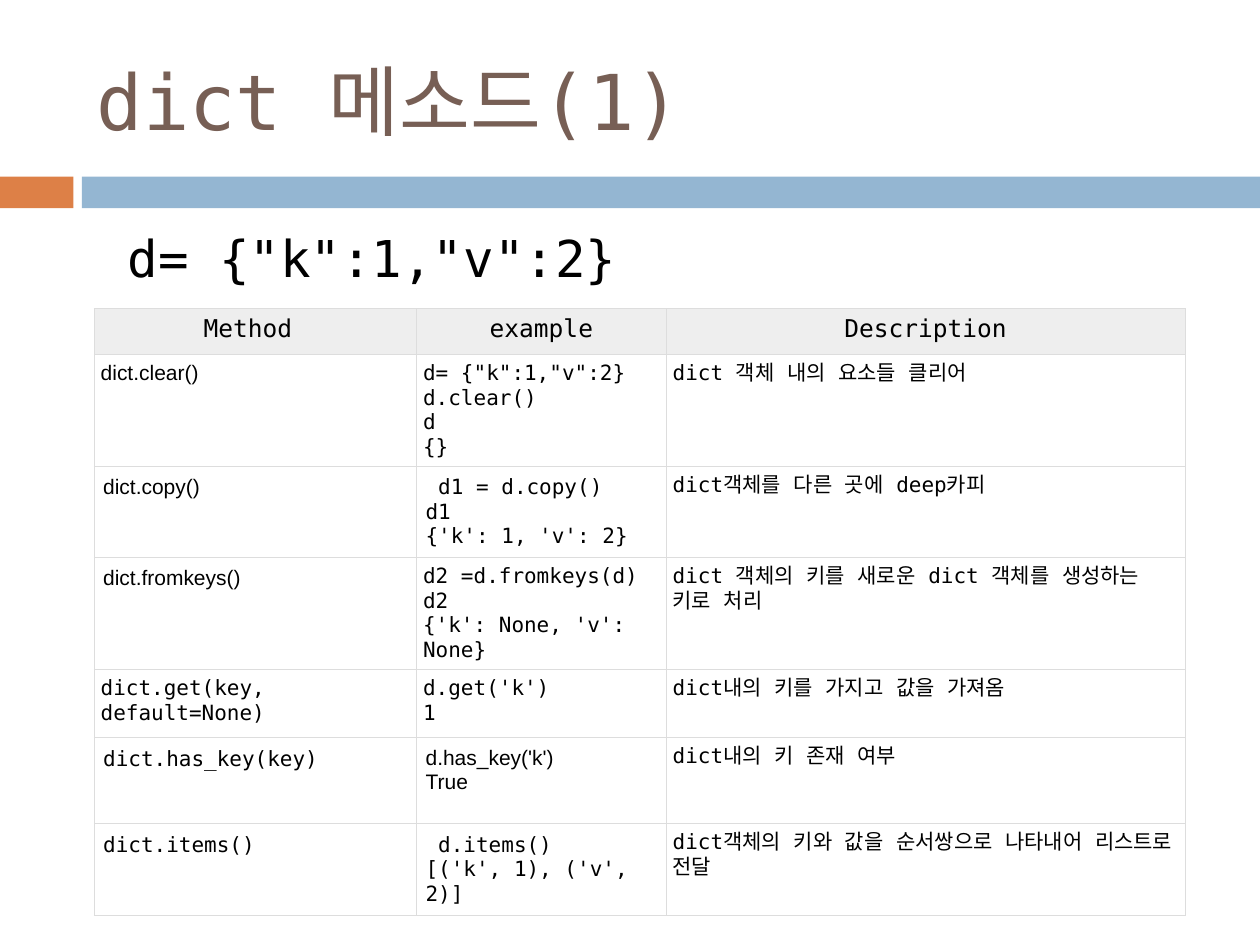
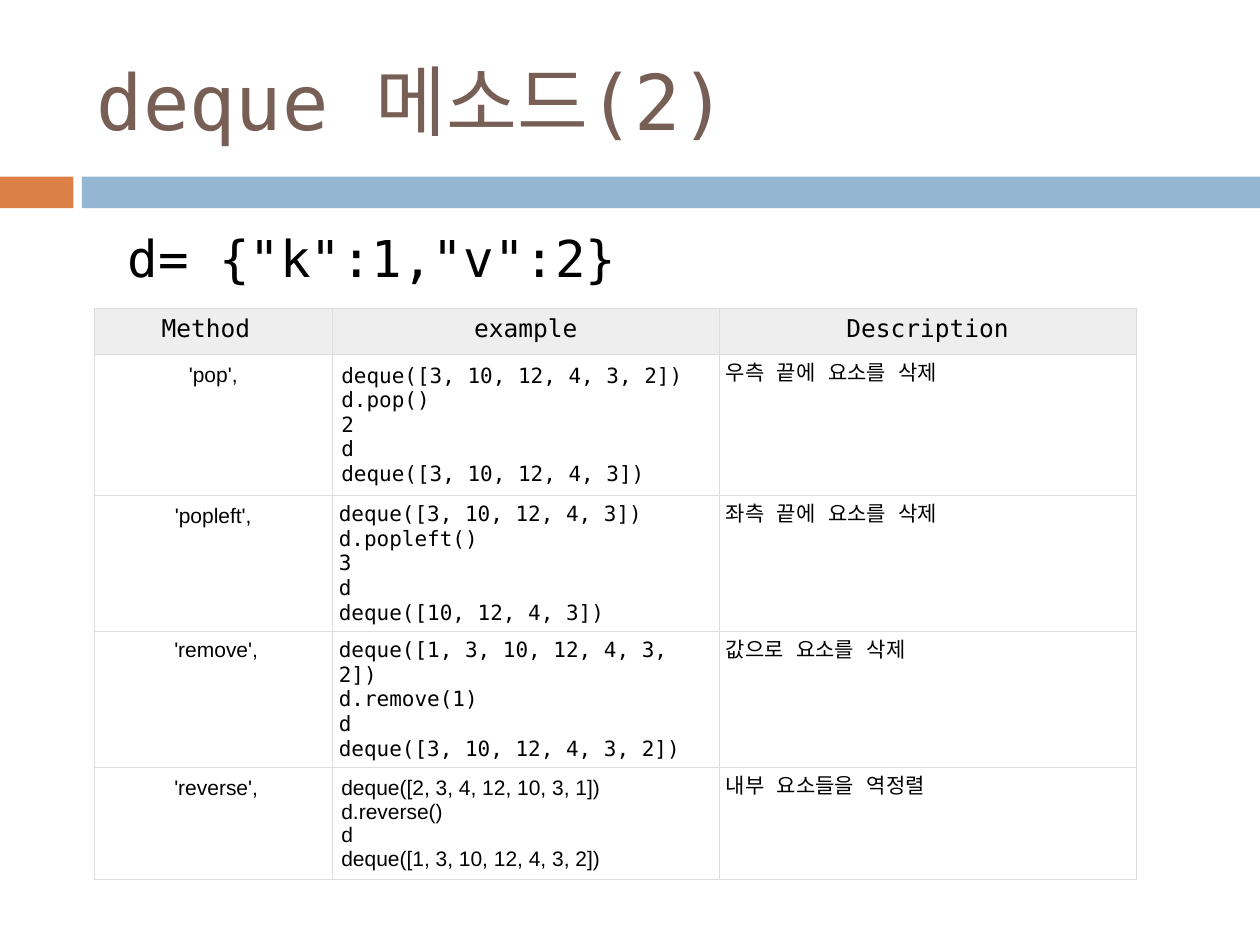
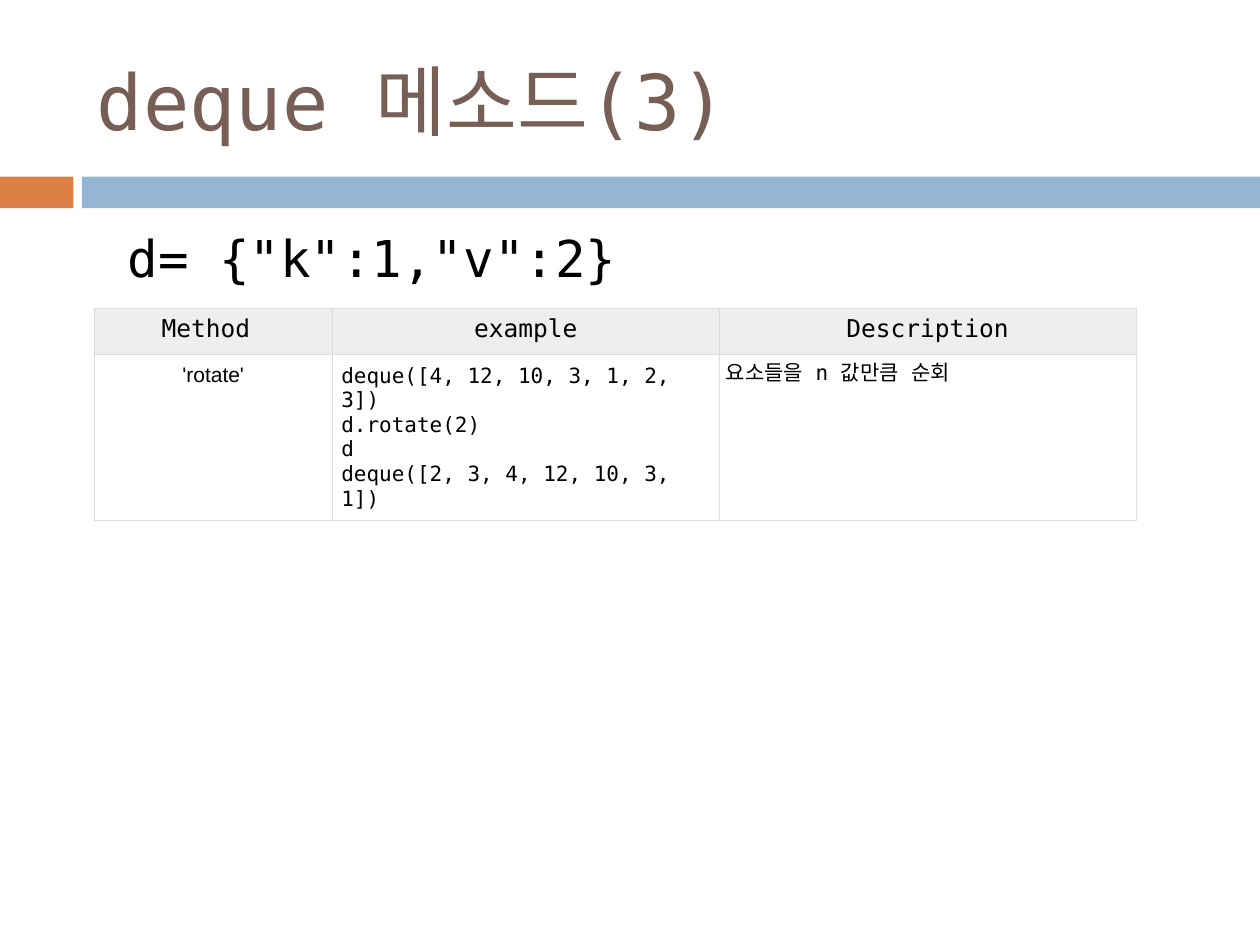
from lxml import etree
from pptx import Presentation
from pptx.dml.color import RGBColor
from pptx.enum.shapes import MSO_SHAPE
from pptx.enum.text import MSO_ANCHOR, MSO_AUTO_SIZE, PP_ALIGN
from pptx.oxml import parse_xml
from pptx.oxml.ns import nsdecls, qn
from pptx.util import Cm, Pt

MONO, ARIAL = "DejaVu Sans Mono", "Arial"
BLACK, BROWN, ORANGE, BLUE = "000000", "775F55", "DD8047", "94B6D2"
HEADER_FILL, BORDER = "EEEEEE", "DDDDDD"
LEFT, CENTER = PP_ALIGN.LEFT, PP_ALIGN.CENTER

# Cell styles: font and inset in cm
MONO_SLIM, MONO_WIDE = (MONO, 0.13), (MONO, 0.18)
ARIAL_SLIM, ARIAL_WIDE = (ARIAL, 0.13), (ARIAL, 0.18)

HEADINGS = ["Method ", "example", "Description"]
DICT_COLS, DEQUE_COLS = [6.5, 5.03, 10.46], [4.8, 7.8, 8.4]

# Slides: title, column widths, method alignment, rows
# Rows: height, method, its style, example, its style, description
SLIDES = [
    ("dict 메소드(1)", DICT_COLS, LEFT, [
        (2.24, "dict.clear()", ARIAL_SLIM,
         'd= {"k":1,"v":2}\nd.clear()\nd\n{}', MONO_SLIM,
         "dict 객체 내의 요소들 클리어"),
        (1.81, "dict.copy()", ARIAL_WIDE,
         " d1 = d.copy()\nd1\n{'k': 1, 'v': 2}", MONO_WIDE,
         "dict객체를 다른 곳에 deep카피"),
        (2.26, "dict.fromkeys()", ARIAL_WIDE,
         "d2 =d.fromkeys(d)\nd2\n{'k': None, 'v': None}", MONO_SLIM,
         "dict 객체의 키를 새로운 dict 객체를 생성하는 키로 처리"),
        (1.37, "dict.get(key, default=None)", MONO_SLIM,
         "d.get('k')\n1", MONO_SLIM,
         "dict내의 키를 가지고 값을 가져옴"),
        (1.73, "dict.has_key(key)", MONO_WIDE,
         "d.has_key('k')\nTrue", ARIAL_WIDE,
         "dict내의 키 존재 여부"),
        (1.81, "dict.items()", MONO_WIDE,
         " d.items()\n[('k', 1), ('v', 2)]", MONO_WIDE,
         "dict객체의 키와 값을 순서쌍으로 나타내어 리스트로 전달"),
    ]),
    ("deque 메소드(2)", DEQUE_COLS, CENTER, [
        (2.8, "'pop',", ARIAL_WIDE,
         "deque([3, 10, 12, 4, 3, 2])\nd.pop()\n2\nd\ndeque([3, 10, 12, 4, 3])", MONO_WIDE,
         "우측 끝에 요소를 삭제"),
        (2.74, "'popleft',", ARIAL_WIDE,
         "deque([3, 10, 12, 4, 3])\nd.popleft()\n3\nd\ndeque([10, 12, 4, 3])", MONO_SLIM,
         "좌측 끝에 요소를 삭제"),
        (2.74, " 'remove',", ARIAL_SLIM,
         "deque([1, 3, 10, 12, 4, 3, 2])\nd.remove(1)\nd\ndeque([3, 10, 12, 4, 3, 2])", MONO_SLIM,
         "값으로 요소를 삭제"),
        (2.24, " 'reverse',", ARIAL_WIDE,
         "deque([2, 3, 4, 12, 10, 3, 1])\nd.reverse()\nd\ndeque([1, 3, 10, 12, 4, 3, 2])", ARIAL_WIDE,
         "내부 요소들을 역정렬"),
    ]),
    ("deque 메소드(3)", DEQUE_COLS, CENTER, [
        (3.31, "'rotate'", ARIAL_WIDE,
         "deque([4, 12, 10, 3, 1, 2, 3])\nd.rotate(2)\nd\ndeque([2, 3, 4, 12, 10, 3, 1])", MONO_WIDE,
         "요소들을 n 값만큼 순회"),
    ]),
]


def write(tf, text, size=12, font=MONO, color=BLACK, align=LEFT):
    """Write one plain paragraph per line of text."""
    tf.word_wrap = True
    for i, line in enumerate(text.split("\n")):
        p = tf.paragraphs[0] if i == 0 else tf.add_paragraph()
        p.alignment = align
        p.space_before = Pt(0)
        pPr = p._p.get_or_add_pPr()
        pPr.set("marL", "0")
        pPr.set("indent", "0")
        etree.SubElement(pPr, qn("a:buNone"))
        r = p.add_run()
        r.text = line
        r.font.size, r.font.name = Pt(size), font
        r.font.color.rgb = RGBColor.from_string(color)
        etree.SubElement(r.font._element, qn("a:ea"), typeface=font)


def fill_cell(cell, text, style, fill=None, **fmt):
    """Write a cell with thin borders on all four sides."""
    font, inset = style
    cell.margin_left = cell.margin_right = Cm(inset)
    cell.margin_top = cell.margin_bottom = Cm(inset)
    tcPr = cell._tc.get_or_add_tcPr()
    for side in "LRTB":
        tcPr.append(parse_xml(
            f'<a:ln{side} {nsdecls("a")} w="7620"><a:solidFill>'
            f'<a:srgbClr val="{BORDER}"/></a:solidFill></a:ln{side}>'))
    if fill:
        cell.fill.solid()
        cell.fill.fore_color.rgb = RGBColor.from_string(fill)
    else:
        cell.fill.background()
    write(cell.text_frame, text, font=font, **fmt)


prs = Presentation()
prs.slide_width, prs.slide_height = Cm(25.4), Cm(19.05)
layout = prs.slide_layouts[1]

for number, (title, widths, method_align, rows) in enumerate(SLIDES):
    s = prs.slides.add_slide(layout)

    # Bands, drawn once and moved to the master
    if number == 0:
        for i, (left, width, color) in enumerate([(0, 1.48, ORANGE), (1.65, 23.75, BLUE)]):
            band = s.shapes.add_shape(MSO_SHAPE.RECTANGLE, Cm(left), Cm(3.56), Cm(width), Cm(0.64))
            band.shadow.inherit = False
            band.fill.solid()
            band.fill.fore_color.rgb = RGBColor.from_string(color)
            band.line.fill.background()
            band.element.nvSpPr.cNvPr.set("id", str(20 + i))
            prs.slide_master.shapes.element.append(band.element)

    # Title and the sample dictionary
    body = s.placeholders[1]
    for sp, top, height, anchor, text, size, color in [
        (s.shapes.title, 0.64, 2.74, MSO_ANCHOR.MIDDLE, title, 44, BROWN),
        (body, 4.45, 2.87, MSO_ANCHOR.TOP, ' d= {"k":1,"v":2}', 29, BLACK),
    ]:
        sp.left, sp.top, sp.width, sp.height = Cm(1.7), Cm(top), Cm(22.66), Cm(height)
        tf = sp.text_frame
        tf.auto_size = MSO_AUTO_SIZE.NONE
        tf.vertical_anchor = anchor
        write(tf, text, size=size, color=color)

    # Method table
    heights = [0.93] + [row[0] for row in rows]
    table = s.shapes.add_table(len(heights), 3, Cm(1.9), Cm(6.22),
                               Cm(sum(widths)), Cm(sum(heights))).table
    table.first_row = table.horz_banding = False
    for col, width in zip(table.columns, widths):
        col.width = Cm(width)
    for row, height in zip(table.rows, heights):
        row.height = Cm(height)
    for c, heading in enumerate(HEADINGS):
        fill_cell(table.cell(0, c), heading, MONO_SLIM, HEADER_FILL, size=14, align=CENTER)
    for n, (_, method, method_style, example, example_style, description) in enumerate(rows, 1):
        fill_cell(table.cell(n, 0), method, method_style, align=method_align)
        fill_cell(table.cell(n, 1), example, example_style)
        fill_cell(table.cell(n, 2), description, MONO_SLIM)

prs.save("out.pptx")
